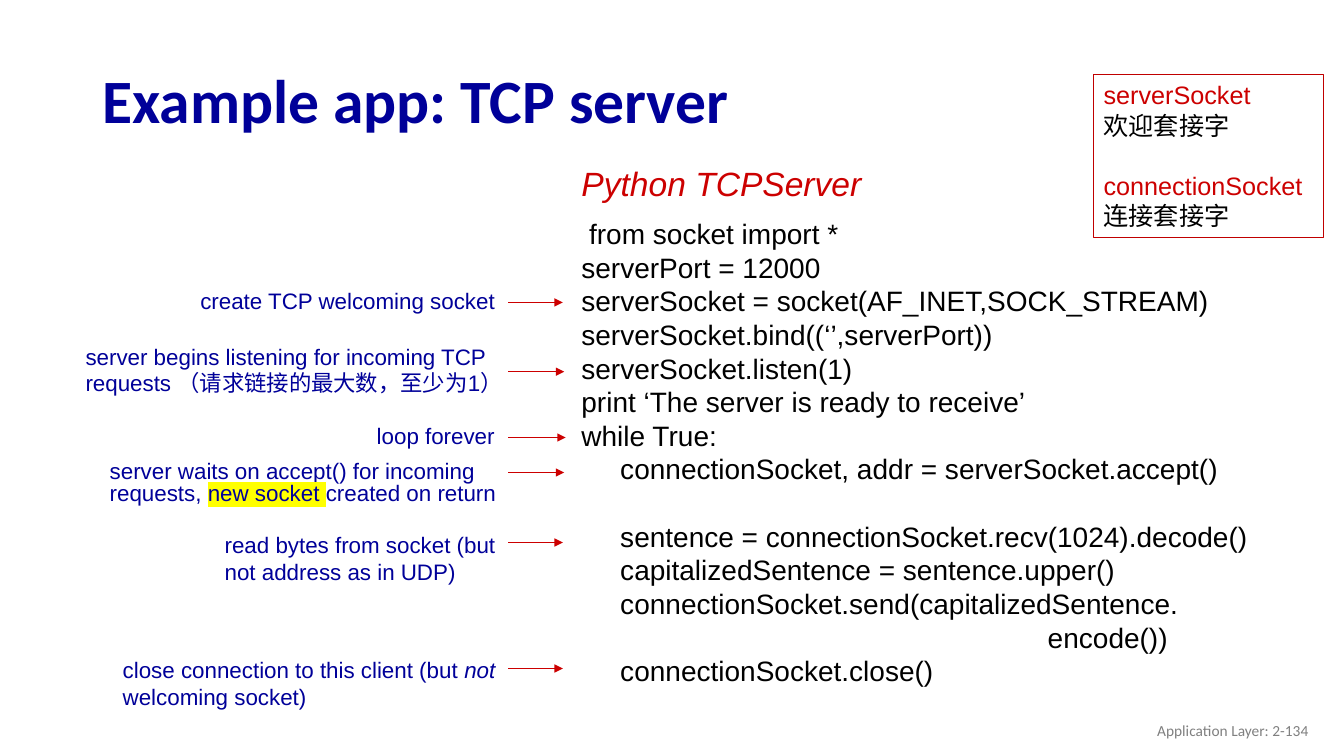
from lxml import etree
from pptx import Presentation
from pptx.dml.color import RGBColor
from pptx.enum import shapes, text
from pptx.oxml import ns
from pptx.util import Pt

NAVY = RGBColor(0x00, 0x00, 0x99)
RED = RGBColor(0xCC, 0x00, 0x00)
EDGE = RGBColor(0xC0, 0x00, 0x00)
BLACK = RGBColor(0x00, 0x00, 0x00)
GRAY = RGBColor(0x80, 0x80, 0x80)

CODE = """ from socket import *
serverPort = 12000
serverSocket = socket(AF_INET,SOCK_STREAM)
serverSocket.bind((‘’,serverPort))
serverSocket.listen(1)
print ‘The server is ready to receive’
while True:
     connectionSocket, addr = serverSocket.accept()

     sentence = connectionSocket.recv(1024).decode()
     capitalizedSentence = sentence.upper()
     connectionSocket.send(capitalizedSentence.
                                                            encode())
     connectionSocket.close()"""

# Box, line pitch, arrow height and tip, runs (text, style)
NOTES = [
    ((136, 201.6, 241, 26.5), 19.2, 216, 402,
     [("create TCP welcoming socket", "")]),
    ((54, 241.2, 336, 46), 19.2, 265.5, 403,
     [("server begins listening for incoming TCP requests "
       "（请求链接的最大数，至少为1）", "")]),
    ((262, 301, 146, 24), 16, 312.5, 404, [("loop forever", "")]),
    ((71.3, 326.2, 336, 40), 16, 337.5, 403,
     [("server waits on accept() for incoming requests, ", ""),
      ("new socket ", "mark"), ("created on return", "")]),
    ((153.4, 375.8, 216, 46), 19.2, 387.5, 402,
     [("read bytes from socket (but not address as in UDP)", "")]),
    ((80.6, 465.1, 307.4, 46), 19.2, 477.5, 402,
     [("close connection to this client (but ", ""), ("not", "italic"),
      (" welcoming socket)", "")]),
]


class Deck:
    def __init__(self, wide, high):
        self.prs = Presentation()
        self.prs.slide_width, self.prs.slide_height = Pt(wide), Pt(high)
        self.slide = self.prs.slides.add_slide(self.prs.slide_layouts[5])
        self.font = "Arial"

    def run(self, para, words, size, color, font=None, style=""):
        run = para.add_run()
        run.text = words
        run.font.size = Pt(size)
        run.font.color.rgb = color
        if style == "mark":
            mark = etree.SubElement(run.font._element, ns.qn("a:highlight"))
            etree.SubElement(mark, ns.qn("a:srgbClr"), val="FFFF00")
        if style == "italic":
            run.font.italic = True
        run.font.name = font or self.font
        return run

    def title(self, box, words):
        head = self.slide.shapes.title
        head.left, head.top, head.width, head.height = map(Pt, box)
        frame = head.text_frame
        frame.vertical_anchor = text.MSO_ANCHOR.MIDDLE
        para = frame.paragraphs[0]
        para.alignment = text.PP_ALIGN.LEFT
        self.run(para, words, 44, NAVY, "Calibri").font.bold = True

    def fill(self, frame, lines, size, pitch=None):
        """Each line is (space before, [(words, color, font, style)])."""
        frame.word_wrap = True
        for i, (gap, runs) in enumerate(lines):
            para = frame.add_paragraph() if i else frame.paragraphs[0]
            para.alignment = text.PP_ALIGN.LEFT
            if pitch:
                para.line_spacing = Pt(pitch)
            if gap:
                para.space_before = Pt(gap)
            for words, color, font, style in runs:
                self.run(para, words, size, color, font, style)

    def label(self, box, lines, size, pitch=None):
        frame = self.slide.shapes.add_textbox(*map(Pt, box)).text_frame
        self.fill(frame, lines, size, pitch)
        return frame

    def panel(self, box, lines, size, pitch):
        rect = self.slide.shapes.add_shape(
            shapes.MSO_SHAPE.RECTANGLE, *map(Pt, box))
        rect.shadow.inherit = False
        rect.fill.background()
        rect.line.color.rgb = EDGE
        rect.line.width = Pt(0.75)
        rect.text_frame.vertical_anchor = text.MSO_ANCHOR.TOP
        self.fill(rect.text_frame, lines, size, pitch)

    def arrow(self, left, right, top):
        line = self.slide.shapes.add_connector(
            shapes.MSO_CONNECTOR.STRAIGHT, Pt(left), Pt(top), Pt(right), Pt(top))
        line.line.color.rgb = RED
        line.line.width = Pt(1)
        etree.SubElement(line.line._get_or_add_ln(), ns.qn("a:tailEnd"),
                         type="triangle")
        etree.SubElement(line._element.spPr, ns.qn("a:effectLst"))


def main():
    deck = Deck(960, 540)
    deck.title((66, 35.3, 828, 70.6), "Example app: TCP server")

    # Code listing, where an empty line becomes space before the next one
    lines, gap = [], 0
    for row in CODE.split("\n"):
        if row:
            lines.append((gap, [(row, BLACK, None, "")]))
        gap = 0 if row else 24
    deck.label((408.2, 151.2, 500, 409.7), lines, 20, 24)
    deck.label((408.2, 113, 222.5, 36.7),
               [(0, [("Python TCPServer", RED, None, "italic")])], 24, 28.8)

    # Notes with arrows to the code
    for box, pitch, top, tip, runs in NOTES:
        parts = [(words, NAVY, None, style) for words, style in runs]
        deck.label(box, [(0, parts)], 16, pitch)
        deck.arrow(363, tip, top)

    # Footer
    foot = deck.label((725.8, 507.6, 216, 28.8),
                      [(0, [("Application Layer: 2-134", GRAY, "Calibri", "")])],
                      11)
    foot.vertical_anchor = text.MSO_ANCHOR.MIDDLE
    foot.paragraphs[0].alignment = text.PP_ALIGN.RIGHT

    # Socket glossary
    terms = []
    for gap, name, sense in ((0, "serverSocket", "欢迎套接字"),
                             (21.6, "connectionSocket", "连接套接字")):
        terms += [(gap, [(name, RED, None, "")]),
                  (0, [(sense, BLACK, "Times New Roman", "")])]
    deck.panel((781.2, 53.3, 164.2, 116.6), terms, 18, 21.6)

    deck.prs.save("out.pptx")


if __name__ == "__main__":
    main()
